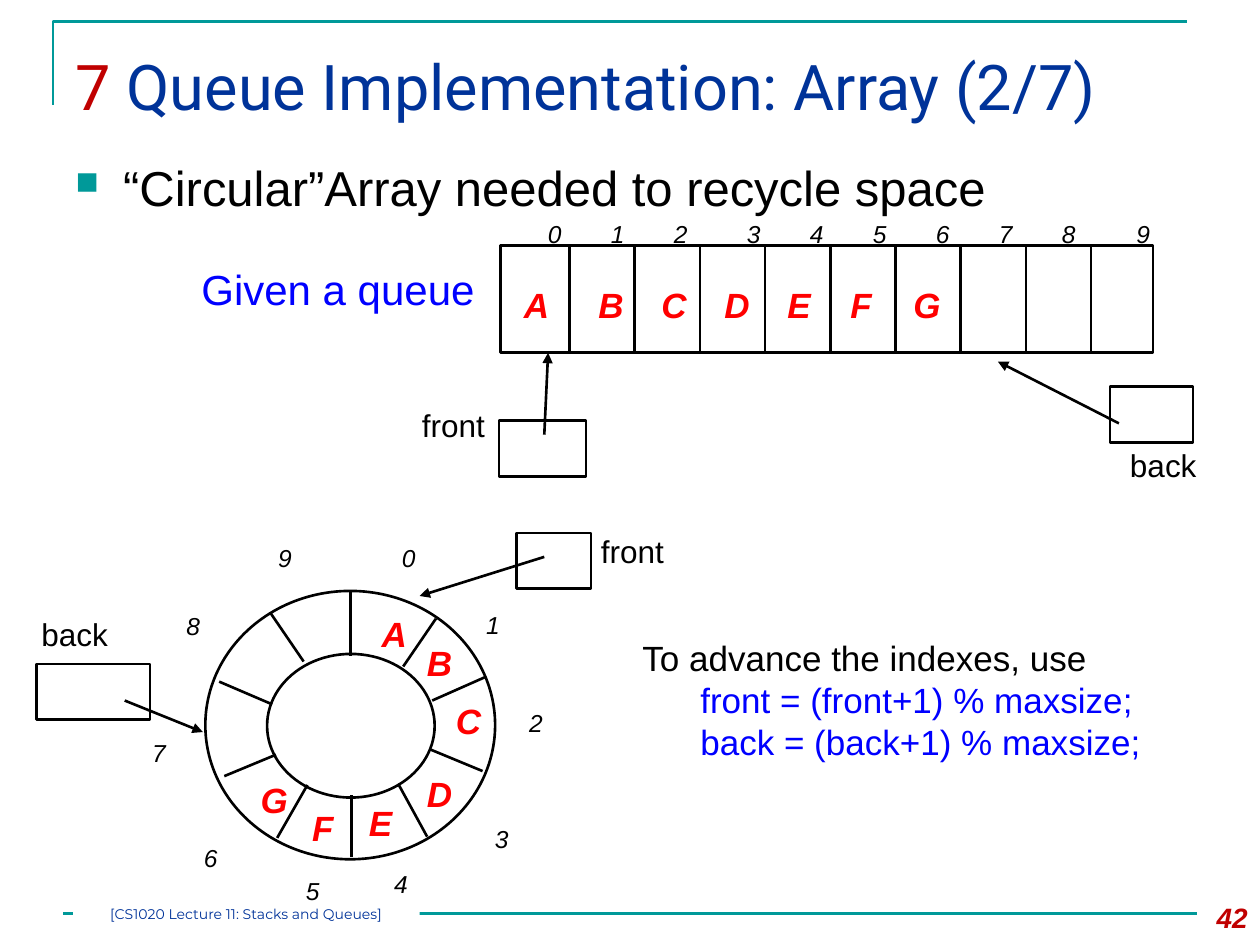
from lxml import etree
from pptx import Presentation
from pptx.dml.color import RGBColor
from pptx.enum import shapes as kinds, text as txt
from pptx.oxml.ns import qn
from pptx.util import Inches, Pt

BLACK, RED, BLUE, NAVY, TEAL, CRIMSON = (
    "000000", "FF0000", "0000FF", "003399", "009999", "C00000")
LETTER = dict(size=Pt(20), bold=True, italic=True)
INDEX = dict(size=Pt(14), italic=True)
LABEL = dict(size=Pt(18))


def rgb(value):
    return RGBColor.from_string(value)


def set_font(font, color=BLACK, name="Arial", **formats):
    font.name = name
    font.color.rgb = rgb(color)
    for key, value in formats.items():
        setattr(font, key, value)


def inches(*lengths):
    return [Inches(length) for length in lengths]


def add_text(shapes, box, words, wrap=True, align=txt.PP_ALIGN.LEFT, **formats):
    frame = shapes.add_textbox(*inches(*box)).text_frame
    frame.word_wrap = wrap
    paragraph = frame.paragraphs[0]
    paragraph.text = words
    paragraph.alignment = align
    set_font(paragraph.font, **formats)
    return frame


def add_marks(shapes, origin, marks, **formats):
    """Place short unwrapped words, each given as (word, dx, dy, width, height)."""
    for word, dx, dy, width, height in marks:
        add_text(shapes, (origin[0] + dx, origin[1] + dy, width, height),
                 word, wrap=False, **formats)


def add_outline(shapes, box, kind=kinds.MSO_SHAPE.RECTANGLE):
    shape = shapes.add_shape(kind, *inches(*box))
    shape.shadow.inherit = False
    shape.fill.background()
    shape.line.color.rgb = rgb(BLACK)
    shape.line.width = Pt(1.5)
    return shape


def add_line(shapes, start, end, color=BLACK, arrow=False):
    line = shapes.add_connector(kinds.MSO_CONNECTOR.STRAIGHT, *inches(*start, *end))
    line.line.color.rgb = rgb(color)
    line.line.width = Pt(1.5)
    if arrow:
        etree.SubElement(line.line._get_or_add_ln(), qn("a:tailEnd"), type="triangle")
    etree.SubElement(line._element.spPr, qn("a:effectLst"))


def add_frame(slide):
    """Draw the corner bracket and the bottom rule."""
    outline = slide.shapes.build_freeform(*inches(0.42, 0.83))
    outline.add_line_segments([inches(0.42, 0.17), inches(9.42, 0.17)], close=False)
    bracket = outline.convert_to_shape()
    bracket.shadow.inherit = False
    bracket.fill.background()
    bracket.line.color.rgb = rgb(TEAL)
    bracket.line.width = Pt(1.5)
    add_line(slide.shapes, (0.5, 7.25), (9.5, 7.25), TEAL)


def add_title(slide, box):
    title = slide.shapes.title
    title.left, title.top, title.width, title.height = inches(*box)
    frame = title.text_frame
    frame.vertical_anchor = txt.MSO_ANCHOR.MIDDLE
    paragraph = frame.paragraphs[0]
    paragraph.alignment = txt.PP_ALIGN.LEFT
    for words, color in (("7 ", CRIMSON), ("Queue Implementation: Array (2/7)", NAVY)):
        run = paragraph.add_run()
        run.text = words
        set_font(run.font, color, "Roboto", size=Pt(36))


def add_bullet(slide, box):
    frame = add_text(slide.shapes, box, "“Circular”Array needed to recycle space",
                     size=Pt(28))
    props = frame.paragraphs[0]._p.get_or_add_pPr()
    props.set("marL", str(Inches(0.38)))
    props.set("indent", str(-Inches(0.38)))
    bullet_color = etree.Element(qn("a:buClr"))
    etree.SubElement(bullet_color, qn("a:srgbClr"), val=TEAL)
    bullet_size = etree.Element(qn("a:buSzPct"), val="65000")
    bullet_char = etree.Element(qn("a:buChar"), char="■")
    for position, element in enumerate((bullet_color, bullet_size, bullet_char)):
        props.insert(position, element)


def add_pointer(shapes, box, start, end):
    """Draw a variable's box and the arrow to the cell it refers to."""
    add_outline(shapes, box)
    add_line(shapes, start, end, arrow=True)


def add_linear_queue(slide, box):
    left, top, width, height = box
    shapes = slide.shapes
    add_outline(shapes, box)
    for divider in range(9):
        x = left + 0.55 + divider * 0.5175
        add_line(shapes, (x, top), (x, top + height))
    index_offsets = (0.28, 0.78, 1.28, 1.86, 2.36, 2.86, 3.36, 3.86, 4.36, 4.95)
    add_marks(shapes, (left, top),
              [(str(i), dx, -0.26, 0.31, 0.33) for i, dx in enumerate(index_offsets)],
              **INDEX)
    letter_offsets = (0.09, 0.68, 1.18, 1.68, 2.18, 2.68, 3.18)
    add_marks(shapes, (left, top),
              [(word, dx, 0.25, 0.4, 0.43) for word, dx in zip("ABCDEFG", letter_offsets)],
              color=RED, **LETTER)
    for pointer in (
            ((left - 0.01, top + 1.39, 0.69, 0.44),
             (left + 0.35, top + 1.5), (left + 0.38, top + height)),
            ((left + 4.84, top + 1.12, 0.66, 0.44),
             (left + 4.91, top + 1.41), (left + 3.95, top + 0.92))):
        add_pointer(shapes.add_group_shape().shapes, *pointer)
    add_marks(shapes, (left, top), [("front", -0.72, 1.22, 0.71, 0.4),
                                    ("back", 4.9, 1.54, 0.73, 0.4)], **LABEL)


def add_circular_queue(slide, box):
    left, top, width, height = box
    shapes = slide.shapes.add_group_shape().shapes
    oval = kinds.MSO_SHAPE.OVAL
    add_outline(shapes, box, oval)
    add_outline(shapes, (left + 0.49, top + 0.5, 1.33, 1.14), oval)
    spokes = (  # outer x, outer y, inner x, inner y, clockwise from the top
        (1.15, 0, 1.15, 0.52), (1.83, 0.22, 1.57, 0.6), (2.23, 0.68, 1.8, 0.87),
        (2.2, 1.43, 1.79, 1.26), (1.76, 1.95, 1.53, 1.53), (1.16, 2.11, 1.16, 1.62),
        (0.57, 1.96, 0.81, 1.54), (0.15, 1.47, 0.56, 1.3), (0.11, 0.72, 0.53, 0.9),
        (0.52, 0.18, 0.78, 0.56))
    for x1, y1, x2, y2 in spokes:
        add_line(shapes, (left + x1, top + y1), (left + x2, top + y2))
    add_pointer(shapes, (left + 2.47, top - 0.46, 0.59, 0.44),
                (left + 2.69, top - 0.27), (left + 1.7, top + 0.04))
    add_pointer(shapes, (left - 1.34, top + 0.58, 0.9, 0.44),
                (left - 0.64, top + 0.87), (left - 0.02, top + 1.12))
    letter_spots = ((1.3, 0.12), (1.66, 0.35), (1.89, 0.81), (1.66, 1.39),
                    (1.2, 1.62), (0.75, 1.66), (0.34, 1.44))
    add_marks(shapes, (left, top),
              [(word, *spot, 0.4, 0.43) for word, spot in zip("ABCDEFG", letter_spots)],
              color=RED, **LETTER)
    index_spots = ((1.46, -0.43), (2.13, 0.1), (2.47, 0.88), (2.2, 1.8), (1.4, 2.16),
                   (0.7, 2.21), (-0.11, 1.95), (-0.52, 1.12), (-0.25, 0.11), (0.48, -0.43))
    add_marks(shapes, (left, top),
              [(str(i), *spot, 0.31, 0.33) for i, spot in enumerate(index_spots)], **INDEX)
    add_marks(slide.shapes, (left, top), [("front", 3.04, -0.52, 0.71, 0.4),
                                          ("back", -1.4, 0.14, 0.73, 0.4)], **LABEL)


def add_advance_rule(slide, box):
    frame = add_text(slide.shapes, box, "To advance the indexes, use", size=Pt(20))
    for name in ("front", "back"):
        paragraph = frame.add_paragraph()
        paragraph.text = f"{name} = ({name}+1) % maxsize;"
        paragraph._p.get_or_add_pPr().set("marL", str(Inches(0.46)))
        set_font(paragraph.font, BLUE, size=Pt(20))


def add_footer(slide, box):
    footer = add_outline(slide.shapes, box)
    footer.fill.solid()
    footer.fill.fore_color.rgb = rgb("FFFFFF")
    footer.line.fill.background()
    frame = footer.text_frame
    for side in ("left", "top", "right", "bottom"):
        setattr(frame, f"margin_{side}", 0)
    frame.vertical_anchor = txt.MSO_ANCHOR.MIDDLE
    paragraph = frame.paragraphs[0]
    paragraph.text = "[CS1020 Lecture 11: Stacks and Queues]"
    paragraph.alignment = txt.PP_ALIGN.CENTER
    set_font(paragraph.font, NAVY, "Montserrat", size=Pt(8))


def main():
    deck = Presentation()
    deck.slide_width, deck.slide_height = inches(10, 7.5)
    slide = deck.slides.add_slide(deck.slide_layouts[5])
    add_frame(slide)
    add_title(slide, (0.5, 0.25, 9, 0.86))
    add_bullet(slide, (0.5, 1.2, 9, 0.75))
    add_text(slide.shapes, (1.5, 2.04, 2.42, 0.58), "Given a queue",
             color=BLUE, size=Pt(24))
    add_circular_queue(slide, (1.63, 4.69, 2.3, 2.13))
    add_advance_rule(slide, (5, 5, 4.75, 1.11))
    add_linear_queue(slide, (3.97, 1.95, 5.18, 0.85))
    add_footer(slide, (0.58, 7.17, 2.75, 0.17))
    add_text(slide.shapes, (9.33, 7.1, 0.67, 0.4), "42", align=txt.PP_ALIGN.RIGHT,
             color=CRIMSON, size=Pt(16), bold=True, italic=True)
    deck.save("out.pptx")


if __name__ == "__main__":
    main()
